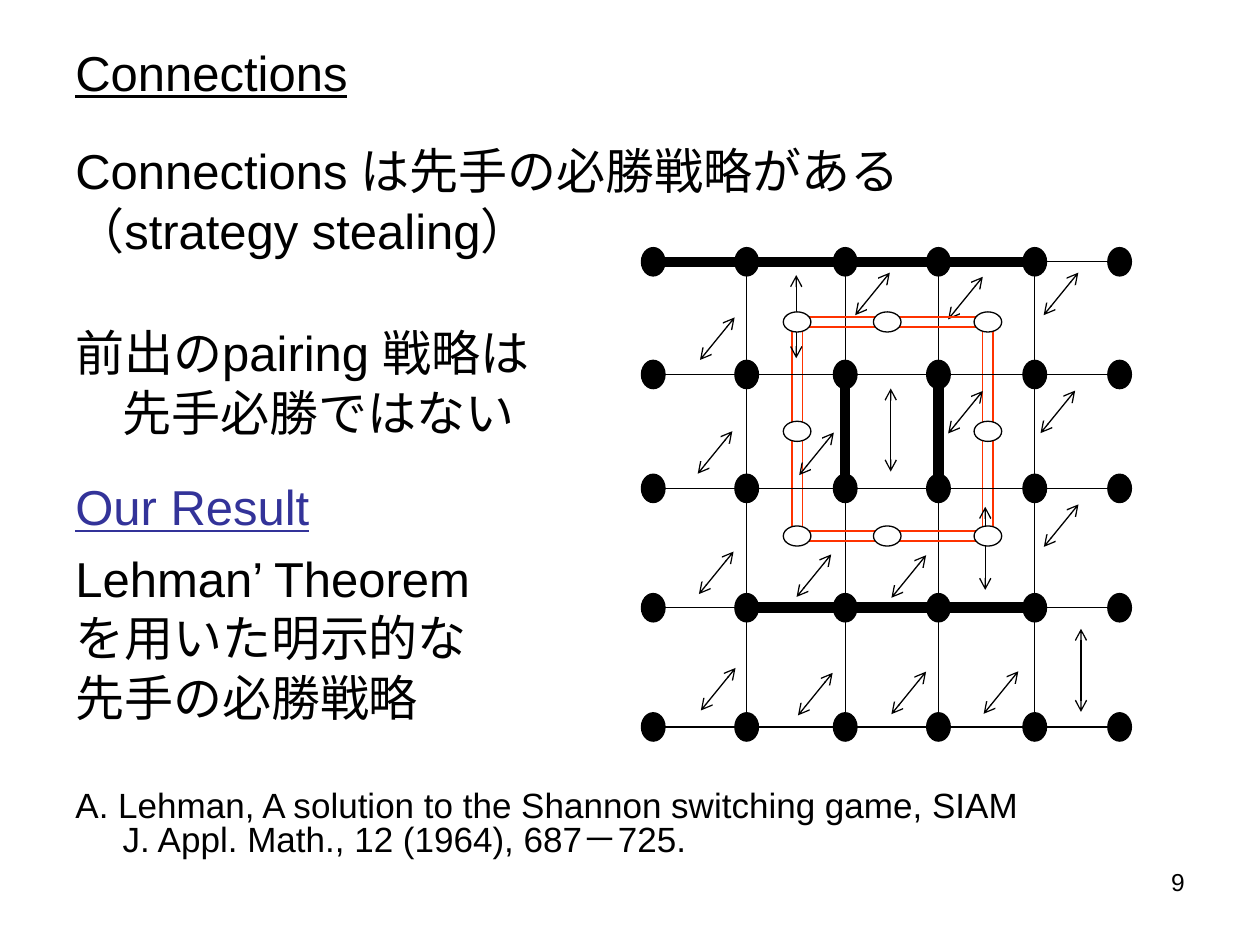
from itertools import product

from lxml.etree import SubElement
from pptx import Presentation
from pptx.dml.color import RGBColor
from pptx.enum.shapes import MSO_CONNECTOR, MSO_SHAPE
from pptx.enum.text import MSO_ANCHOR, PP_ALIGN
from pptx.oxml.ns import qn
from pptx.util import Pt

THEME = {
    "font": "Arial",
    "black": RGBColor(0x00, 0x00, 0x00),
    "white": RGBColor(0xFF, 0xFF, 0xFF),
    "accent": RGBColor(0x33, 0x33, 0x99),
    "red": RGBColor(0xFF, 0x33, 0x00),
    "text": 28,
    "citation": 20,
    "number": 14,
    "thin": 0.75,
    "thick": 6,
}

TITLE = [{"text": "Connections", "underline": True}]
BODY = [
    {"text": "Connections は先手の必勝戦略がある", "before": 0},
    {"text": "（strategy stealing）", "spacing": 0.8},
    {"text": "前出のpairing 戦略は", "before": 36.5},
    {"text": "先手必勝ではない", "spacing": 0.8, "first": 0},
    {"text": "Our Result", "spacing": 1.4, "color": "accent", "underline": True},
    {"text": "Lehman’ Theorem"},
    {"text": "を用いた明示的な", "spacing": 0.8},
    {"text": "先手の必勝戦略", "spacing": 0.8},
    {"text": "A. Lehman, A solution to the Shannon switching game, "
             "SIAM J. Appl. Math., 12 (1964), 687－725.",
     "spacing": 0.8, "before": 38, "size": "citation"},
]
NUMBER = [{"text": "9", "size": "number", "align": PP_ALIGN.RIGHT}]
HANGING = 27

COLS = [373.3, 426.7, 483, 536.3, 591.3, 639.8]
ROWS = [149.6, 214, 279.1, 347.3, 415.4]
DOT = (13.5, 16.2)
NODE_COLS = [455.5, 507, 564.5]
NODE_ROWS = [184, 246.5, 306.3]
NODE = (15.8, 11.5)
RAIL_GAP = 5.8

DIAGONAL = (-19.8, 24.3)
DIAGONAL_STARTS = [
    (419.8, 181.4), (418.5, 246.4), (419.2, 315.2), (420.3, 381.7),
    (476.5, 247.2), (475, 316.8), (475.8, 384.5), (508.5, 155.8),
    (529.2, 317.3), (529.2, 383.8), (561.6, 158.2), (561.6, 223.4),
    (581.9, 383.6), (616.2, 155.8), (614.4, 223.2), (616.3, 288.2),
]
VERTICAL = (0, 47.5)
VERTICAL_STARTS = [(455, 157.2), (509, 222), (563, 289.6), (617.7, 359.3)]

CLAIMED_EDGES = [((0, 0), (4, 0)), ((2, 1), (2, 2)), ((3, 1), (3, 2)), ((1, 3), (4, 3))]


def add_text(s, box, items, anchor=MSO_ANCHOR.TOP, hanging=0):
    tf = s.shapes.add_textbox(*map(Pt, box)).text_frame
    tf.word_wrap = True
    tf.vertical_anchor = anchor
    for i, item in enumerate(items):
        p = tf.paragraphs[0] if i == 0 else tf.add_paragraph()
        p.text = item["text"]
        p.alignment = item.get("align", PP_ALIGN.LEFT)
        p.line_spacing = item.get("spacing", 1.0)
        p.space_before = Pt(item.get("before", 7 if i else 0))
        if hanging:
            pPr = p._p.get_or_add_pPr()
            pPr.set("marL", str(Pt(hanging)))
            pPr.set("indent", str(Pt(item.get("first", -hanging))))
        for r in p.runs:
            r.font.name = THEME["font"]
            r.font.size = Pt(THEME[item.get("size", "text")])
            r.font.color.rgb = THEME[item.get("color", "black")]
            r.font.underline = item.get("underline", False)


def add_line(s, start, end, color="black", width="thin", arrows=False):
    line = s.shapes.add_connector(MSO_CONNECTOR.STRAIGHT, *map(Pt, (*start, *end)))
    line.line.color.rgb = THEME[color]
    line.line.width = Pt(THEME[width])
    if arrows:
        ln = line.line._get_or_add_ln()
        for tag in ("a:headEnd", "a:tailEnd"):
            SubElement(ln, qn(tag), type="arrow")
    SubElement(line._element.spPr, qn("a:effectLst"))


def add_ellipse(s, center, size, fill):
    (x, y), (w, h) = center, size
    sp = s.shapes.add_shape(MSO_SHAPE.OVAL, *map(Pt, (x - w / 2, y - h / 2, w, h)))
    sp.shadow.inherit = False
    sp.fill.solid()
    sp.fill.fore_color.rgb = THEME[fill]
    sp.line.color.rgb = THEME["black"]
    sp.line.width = Pt(THEME["thin"])


def add_rails(s, start, end):
    vertical = start[0] == end[0]
    for shift in (-RAIL_GAP / 2, RAIL_GAP / 2):
        dx, dy = (shift, 0) if vertical else (0, shift)
        add_line(s, (start[0] + dx, start[1] + dy), (end[0] + dx, end[1] + dy), "red")


def add_board(s):
    left, middle, right = NODE_COLS
    top, center, bottom = NODE_ROWS
    for x in (left, right):
        add_rails(s, (x, top), (x, bottom))
    for point in product(COLS, ROWS):
        add_ellipse(s, point, DOT, "black")
    for y in ROWS:
        add_line(s, (COLS[0], y), (COLS[-1], y))
    for x in COLS[1:-1]:
        add_line(s, (x, ROWS[0]), (x, ROWS[-1]))
    for (dx, dy), starts in ((DIAGONAL, DIAGONAL_STARTS), (VERTICAL, VERTICAL_STARTS)):
        for x, y in starts:
            add_line(s, (x, y), (x + dx, y + dy), arrows=True)
    for y in (top, bottom):
        add_rails(s, (left, y), (right, y))
    for point in product(NODE_COLS, NODE_ROWS):
        if point != (middle, center):
            add_ellipse(s, point, NODE, "white")
    for (c1, r1), (c2, r2) in CLAIMED_EDGES:
        add_line(s, (COLS[c1], ROWS[r1]), (COLS[c2], ROWS[r2]), width="thick")


def main():
    prs = Presentation()
    prs.slide_width, prs.slide_height = Pt(720), Pt(540)
    s = prs.slides.add_slide(prs.slide_layouts[6])
    add_text(s, (36, 21.6, 648, 38.9), TITLE, MSO_ANCHOR.MIDDLE)
    add_text(s, (36, 77, 553.7, 425.5), BODY, hanging=HANGING)
    add_board(s)
    add_text(s, (516, 492, 168, 37.5), NUMBER)
    prs.save("out.pptx")


if __name__ == "__main__":
    main()
